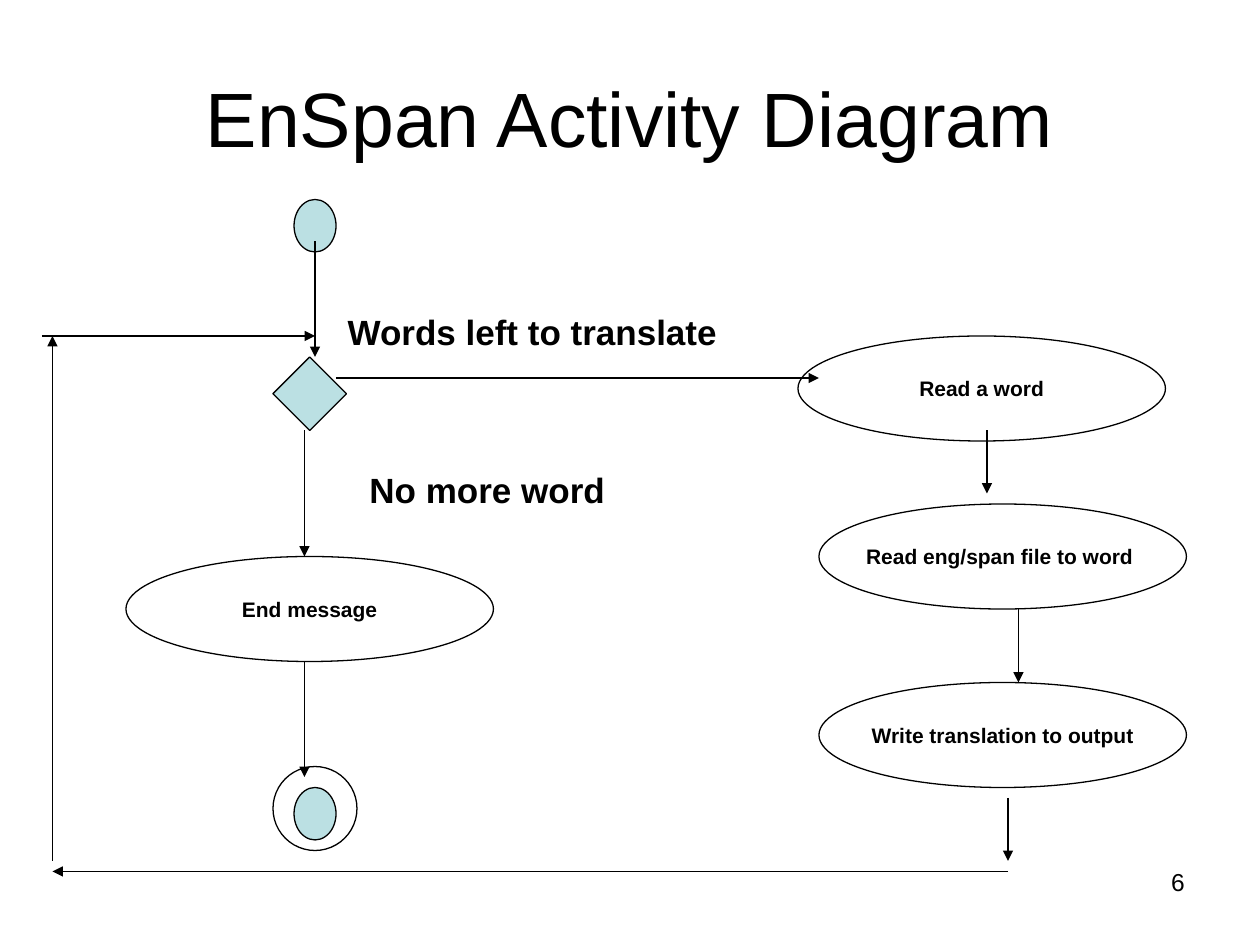
from lxml.etree import SubElement
from pptx import Presentation
from pptx.dml.color import RGBColor
from pptx.enum.shapes import MSO_CONNECTOR, MSO_SHAPE
from pptx.enum.text import MSO_ANCHOR, PP_ALIGN
from pptx.oxml.ns import qn
from pptx.util import Pt

COLORS = {"ink": "000000", "node": "BBE0E3", "background": "FFFFFF"}
INK = RGBColor.from_string(COLORS["ink"])


def write(shape, text, size, bold, align, anchor=MSO_ANCHOR.TOP, wrap=False):
    frame = shape.text_frame
    frame.text = text
    frame.word_wrap = wrap
    frame.vertical_anchor = anchor
    paragraph = frame.paragraphs[0]
    paragraph.alignment = align
    font = paragraph.runs[0].font
    font.name, font.size, font.bold = "Arial", Pt(size), bold
    font.color.rgb = INK


def add_node(kind, left, top, width, height, fill=None):
    shape = slide.shapes.add_shape(kind, Pt(left), Pt(top), Pt(width), Pt(height))
    shape.shadow.inherit = False
    if fill:
        shape.fill.solid()
        shape.fill.fore_color.rgb = RGBColor.from_string(COLORS[fill])
    else:
        shape.fill.background()
    shape.line.color.rgb = INK
    shape.line.width = Pt(0.75)
    return shape


presentation = Presentation()
presentation.slide_width, presentation.slide_height = Pt(720), Pt(540)
slide = presentation.slides.add_slide(presentation.slide_layouts[5])
slide.background.fill.solid()
slide.background.fill.fore_color.rgb = RGBColor.from_string(COLORS["background"])

# Title
title = slide.shapes.title
title.left, title.top, title.width, title.height = Pt(36), Pt(21.6), Pt(648), Pt(90)
write(title, "EnSpan Activity Diagram", 44, False, PP_ALIGN.CENTER, MSO_ANCHOR.MIDDLE, True)

# Start, decision and end markers
add_node(MSO_SHAPE.OVAL, 168, 114, 24, 30, "node")
add_node(MSO_SHAPE.DIAMOND, 156, 204, 42, 42, "node")
add_node(MSO_SHAPE.OVAL, 168, 450, 24, 30, "node")
add_node(MSO_SHAPE.OVAL, 156, 438, 48, 48)

# Activities
for text, left, top in [
    ("Read a word", 456, 192),
    ("Read eng/span file to word ", 468, 288),
    ("Write translation to output", 468, 390),
    ("End message", 72, 318),
]:
    activity = add_node(MSO_SHAPE.OVAL, left, top, 210, 60)
    write(activity, text, 12, True, PP_ALIGN.CENTER, MSO_ANCHOR.MIDDLE)

# Flow arrows: start x, start y, end x, end y
for points in [
    (180, 138, 180, 204),  # start to decision
    (192, 216, 468, 216),  # decision to reading
    (564, 246, 564, 282),
    (582, 348, 582, 390),
    (576, 456, 576, 492),
    (576, 498, 30, 498),  # loop back to decision
    (30, 492, 30, 192),
    (24, 192, 180, 192),
    (174, 246, 174, 318),  # decision to end
    (174, 378, 174, 444),
]:
    arrow = slide.shapes.add_connector(MSO_CONNECTOR.STRAIGHT, *map(Pt, points))
    arrow.line.color.rgb = INK
    arrow.line.width = Pt(0.75)
    SubElement(arrow.line._get_or_add_ln(), qn("a:tailEnd"), type="triangle")
    SubElement(arrow._element.spPr, qn("a:effectLst"))

# Guard labels and page number
for text, left, top, width, height, size, bold, align in [
    ("Words left to translate", 191.5, 174, 226, 31.5, 20, True, PP_ALIGN.LEFT),
    ("No more word", 204, 264, 149, 31.5, 20, True, PP_ALIGN.LEFT),
    ("6", 516, 492, 168, 37.5, 14, False, PP_ALIGN.RIGHT),
]:
    label = slide.shapes.add_textbox(Pt(left), Pt(top), Pt(width), Pt(height))
    write(label, text, size, bold, align, wrap=align == PP_ALIGN.RIGHT)

presentation.save("out.pptx")
